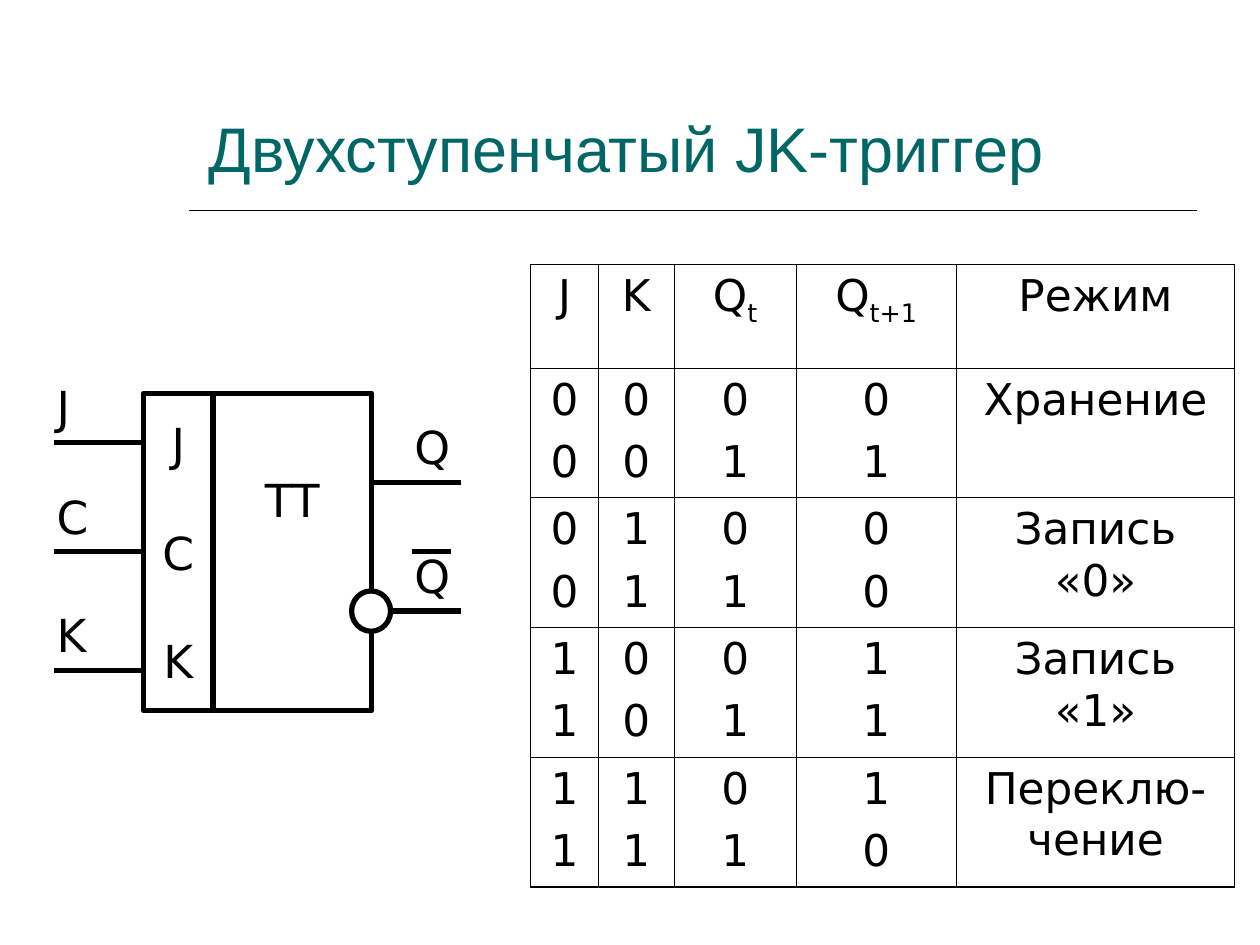
from typing import NamedTuple

from lxml import etree
from pptx import Presentation
from pptx import util as u
from pptx.dml.color import RGBColor
from pptx.enum import shapes, text
from pptx.oxml.ns import qn

COLORS = {"ink": "000000", "paper": "FFFFFF", "title": "006666"}
TITLE_FONT, BODY_FONT = "Arial", "DejaVu Sans"
LABEL_SIZE, CELL_SIZE = 26, 25
THIN, FRAME, THICK = 0.45, 1.08, 3


class Label(NamedTuple):
    wording: str
    left: float
    top: float


class Wire(NamedTuple):
    left: float
    right: float
    y: float
    width: float = THICK


class Block(NamedTuple):
    left: float
    top: float
    width: float
    height: float
    kind: shapes.MSO_SHAPE = shapes.MSO_SHAPE.RECTANGLE


PINS = Block(1.14, 3.12, 0.55, 2.52)
BODY = Block(1.69, 3.12, 1.26, 2.52)
INVERTER = Block(2.79, 4.69, 0.31, 0.32, shapes.MSO_SHAPE.OVAL)

TITLE_RULE = Wire(1.5, 9.5, 1.67, 1)
CLOCK = Wire(0.43, 1.14, 4.38)
WIRES = [Wire(0.43, 1.14, 3.51), Wire(0.43, 1.14, 5.32),
         Wire(2.95, 3.66, 3.83), Wire(2.95, 3.66, 4.85)]
NEGATION_BAR = Wire(3.27, 3.58, 4.38)
LABELS = [Label("J", 0.35, 2.96), Label("С", 0.35, 3.83), Label("K", 0.35, 4.77),
          Label("Q", 3.19, 3.28), Label("Q", 3.19, 4.3)]

COLUMN_WIDTHS = [0.54, 0.6, 0.97, 1.27, 2.21]
ROW_HEIGHTS = [0.82] + [1.03] * 4
HEADER = ["J", "K", "Q_t", "Q_t+1", "Режим"]  # an underscore starts a subscript
MODES = [
    ["0\n0", "0\n0", "0\n1", "0\n1", "Хранение"],
    ["0\n0", "1\n1", "0\n1", "0\n0", "Запись «0»"],
    ["1\n1", "0\n0", "0\n1", "1\n1", "Запись «1»"],
    ["1\n1", "1\n1", "0\n1", "1\n0", "Переклю-чение"],
]


def color(name: str) -> RGBColor:
    return RGBColor.from_string(COLORS[name])


def style_font(font, size: float, family: str = BODY_FONT, ink: str = "ink") -> None:
    font.size = u.Pt(size)
    font.name = family
    font.color.rgb = color(ink)


def add_text(page, left: float, top: float, width: float, height: float, wording: str):
    box = page.shapes.add_textbox(*map(u.Inches, (left, top, width, height)))
    box.text_frame.word_wrap = True
    box.text_frame.text = wording
    return box.text_frame


def add_title(page) -> None:
    frame = add_text(page, 1.56, 0.39, 7.88, 1.13, "Двухступенчатый JK-триггер")
    frame.vertical_anchor = text.MSO_ANCHOR.BOTTOM
    style_font(frame.paragraphs[0].runs[0].font, 36, TITLE_FONT, "title")


def add_label(page, label: Label) -> None:
    frame = add_text(page, label.left, label.top, 0.71, 0.54, label.wording)
    style_font(frame.paragraphs[0].runs[0].font, LABEL_SIZE)


def add_wire(page, wire: Wire):
    line = page.shapes.add_connector(
        shapes.MSO_CONNECTOR.STRAIGHT, u.Inches(wire.left), u.Inches(wire.y),
        u.Inches(wire.right), u.Inches(wire.y))
    line.line.color.rgb = color("ink")
    line.line.width = u.Pt(wire.width)
    etree.SubElement(line._element.spPr, qn("a:effectLst"))
    return line


def add_block(page, block: Block, wording: str = "", gap: float = 0, bottom: float = 0.05):
    """Draw an outlined block; gap is the space in points between its lines of text."""
    shape = page.shapes.add_shape(block.kind, *map(u.Inches, block[:4]))
    shape.shadow.inherit = False
    shape.fill.solid()
    shape.fill.fore_color.rgb = color("paper")
    shape.line.color.rgb = color("ink")
    shape.line.width = u.Pt(THICK)
    if wording:
        frame = shape.text_frame
        frame.word_wrap = False
        frame.vertical_anchor = text.MSO_ANCHOR.MIDDLE
        frame.margin_bottom = u.Inches(bottom)
        frame.text = wording
        for index, para in enumerate(frame.paragraphs):
            para.alignment = text.PP_ALIGN.CENTER
            para.space_before = u.Pt(gap if index else 0)
            style_font(para.runs[0].font, LABEL_SIZE)
    return shape


def set_border(cell, side: str, width: float) -> None:
    line = etree.SubElement(cell._tc.get_or_add_tcPr(), qn(f"a:ln{side}"),
                            w=str(int(u.Pt(width))))
    fill = etree.SubElement(line, qn("a:solidFill"))
    etree.SubElement(fill, qn("a:srgbClr"), val=COLORS["ink"])


def fill_cell(cell, wording: str) -> None:
    cell.text_frame.text = wording.replace("_", "")
    for index, para in enumerate(cell.text_frame.paragraphs):
        para.alignment = text.PP_ALIGN.CENTER
        para.line_spacing = 1.01
        para.space_before = u.Pt(6.2 if index else 0)
        if "_" in wording:
            base, subscript = wording.split("_")
            para.runs[0].text = base
            para.add_run().text = subscript
            para.runs[1].font._element.set("baseline", "-25000")
        for span in para.runs:
            style_font(span.font, CELL_SIZE)


def add_truth_table(page) -> None:
    rows = [HEADER] + MODES
    last_row, last_column = len(rows) - 1, len(HEADER) - 1
    table = page.shapes.add_table(
        len(rows), len(HEADER), u.Inches(4.21), u.Inches(2.1),
        u.Inches(sum(COLUMN_WIDTHS)), u.Inches(sum(ROW_HEIGHTS))).table
    table.first_row = table.horz_banding = False
    for column, width in zip(table.columns, COLUMN_WIDTHS):
        column.width = u.Inches(width)
    for r, (row, height) in enumerate(zip(rows, ROW_HEIGHTS)):
        table.rows[r].height = u.Inches(height)
        for c, wording in enumerate(row):
            cell = table.cell(r, c)
            fill_cell(cell, wording)
            outer = {"L": c == 0, "R": c == last_column, "T": r == 0, "B": r == last_row}
            for side, is_outer in outer.items():
                set_border(cell, side, FRAME if is_outer else THIN)
            cell.fill.background()


def add_flip_flop(page) -> None:
    pins = add_block(page, PINS, "J\nС\nK", gap=31)
    add_block(page, BODY, "TT", bottom=0.89)
    for wire in WIRES + [NEGATION_BAR]:
        add_wire(page, wire)
    add_wire(page, CLOCK).end_connect(pins, 1)
    add_block(page, INVERTER)
    for label in LABELS:
        add_label(page, label)


def main() -> None:
    deck = Presentation()
    deck.slide_width, deck.slide_height = u.Inches(10), u.Inches(7.5)
    page = deck.slides.add_slide(deck.slide_layouts[6])
    add_wire(page, TITLE_RULE)
    add_title(page)
    add_truth_table(page)
    add_flip_flop(page)
    deck.save("out.pptx")


if __name__ == "__main__":
    main()
